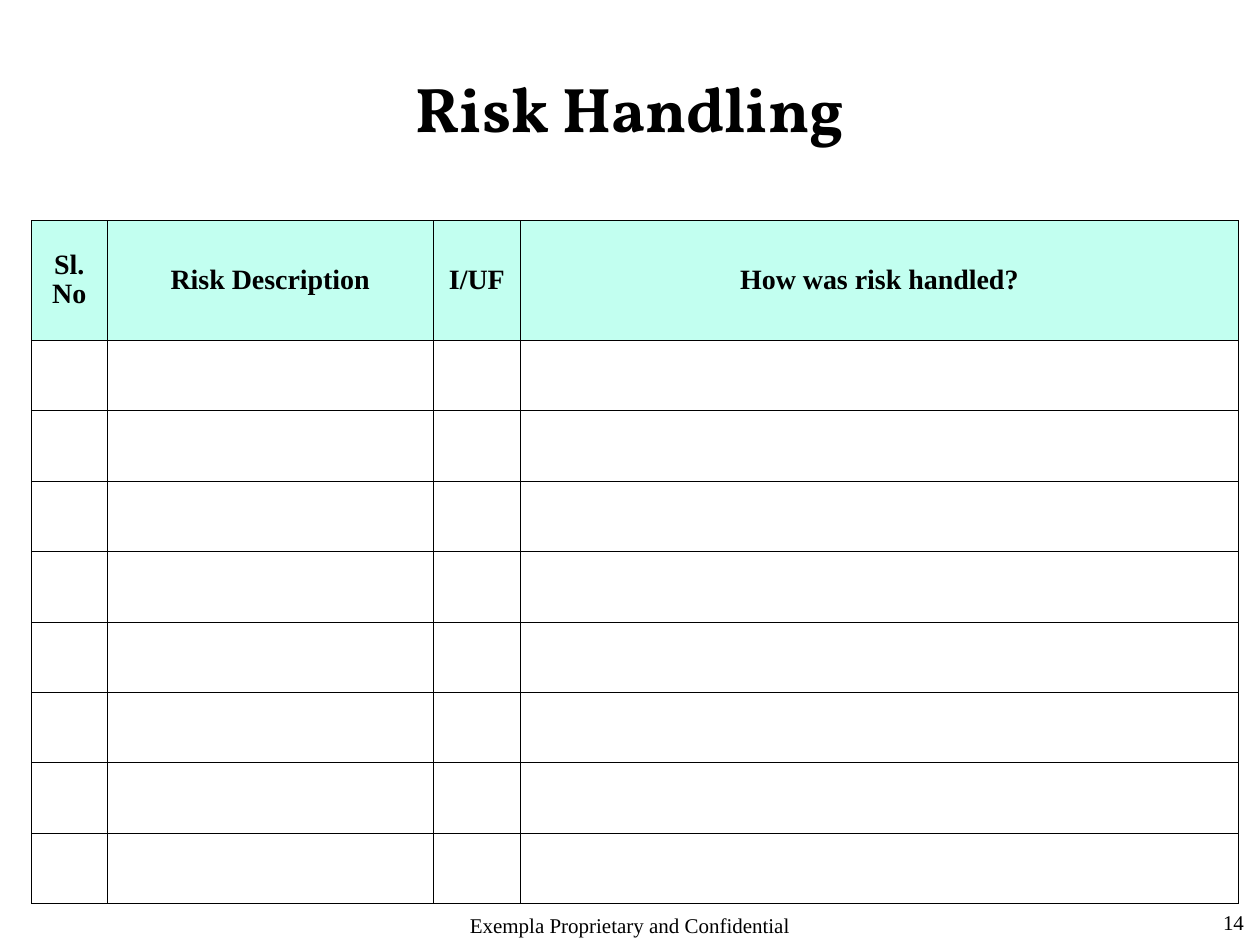
from lxml.etree import SubElement
from pptx import Presentation
from pptx.dml.color import RGBColor
from pptx.enum.text import MSO_ANCHOR as Anchor, PP_ALIGN as Align
from pptx.oxml.ns import qn
from pptx.util import Inches, Pt

TITLE = "Risk Handling"
COLUMNS = [
    ("Sl. No", 0.6),
    ("Risk Description", 2.59),
    ("I/UF", 0.69),
    ("How was risk handled?", 5.7),
]
EMPTY_ROWS = 8
FOOTERS = [
    ("14", (9.58, 7.17, 0.42, 0.33)),
    ("Exempla Proprietary and Confidential", (3.42, 7.19, 3.16, 0.31)),
]
TABLE_LEFT, TABLE_TOP, TABLE_HEIGHT, HEADER_HEIGHT = 0.25, 1.75, 5.42, 0.95
COLORS = {"ink": "000000", "header": "C2FFF0"}
BODY_FONT, TITLE_FONT = "Times New Roman", "Vollkorn"
BORDER_WIDTH = Pt(0.23)


def set_text(frame, text, size, font=BODY_FONT, bold=False):
    frame.word_wrap = True
    para = frame.paragraphs[0]
    para.text = text
    para.alignment = Align.CENTER
    para.font.size = Pt(size)
    para.font.name = font
    para.font.bold = bold
    para.font.color.rgb = RGBColor.from_string(COLORS["ink"])
    return para


def add_borders(cell):
    properties = cell._tc.get_or_add_tcPr()
    for side in ("lnL", "lnR", "lnT", "lnB"):
        line = SubElement(properties, qn(f"a:{side}"), w=str(BORDER_WIDTH))
        fill = SubElement(line, qn("a:solidFill"))
        SubElement(fill, qn("a:srgbClr"), val=COLORS["ink"])


def add_risk_table(slide):
    width = sum(column_width for _, column_width in COLUMNS)
    table = slide.shapes.add_table(
        EMPTY_ROWS + 1, len(COLUMNS), Inches(TABLE_LEFT), Inches(TABLE_TOP),
        Inches(width), Inches(TABLE_HEIGHT)).table
    table.first_row = table.horz_banding = False

    for column, (_, column_width) in zip(table.columns, COLUMNS):
        column.width = Inches(column_width)
    for row in table.rows:
        row.height = Inches((TABLE_HEIGHT - HEADER_HEIGHT) / EMPTY_ROWS)
    table.rows[0].height = Inches(HEADER_HEIGHT)

    for cell in table.iter_cells():
        add_borders(cell)
        cell.fill.background()
    for cell, (heading, _) in zip(table.rows[0].cells, COLUMNS):
        cell.fill.solid()
        cell.fill.fore_color.rgb = RGBColor.from_string(COLORS["header"])
        cell.vertical_anchor = Anchor.MIDDLE
        set_text(cell.text_frame, heading, 16, bold=True).line_spacing = 0.93


def main():
    deck = Presentation()
    deck.slide_width, deck.slide_height = Inches(10), Inches(7.5)
    slide = deck.slides.add_slide(deck.slide_layouts[5])

    add_risk_table(slide)

    title = slide.shapes.title
    title.left, title.top = Inches(2.96), Inches(0.5)
    title.width, title.height = Inches(4.08), Inches(0.7)
    title.text_frame.vertical_anchor = Anchor.TOP
    set_text(title.text_frame, TITLE, 36, TITLE_FONT, bold=True)

    for text, place in FOOTERS:
        box = slide.shapes.add_textbox(*map(Inches, place))
        set_text(box.text_frame, text, 12)

    deck.save("out.pptx")


if __name__ == "__main__":
    main()
